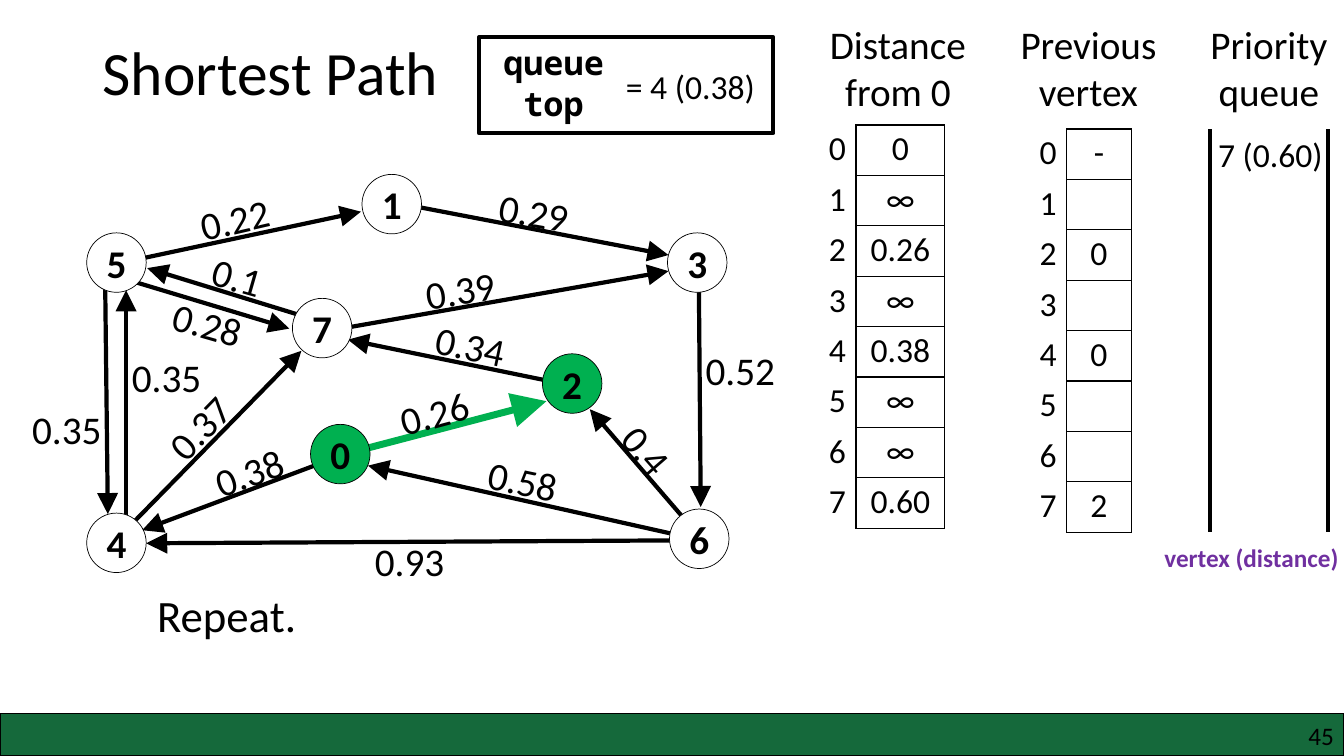
from lxml import etree
from pptx import Presentation
from pptx.dml.color import RGBColor
from pptx.enum import shapes, text
from pptx.oxml import ns
from pptx.util import Inches, Pt

BLACK = RGBColor(0x00, 0x00, 0x00)
WHITE = RGBColor(0xFF, 0xFF, 0xFF)
GREEN = RGBColor(0x00, 0xB0, 0x50)
FOOTER_GREEN = RGBColor(0x15, 0x69, 0x3B)
PURPLE = RGBColor(0x70, 0x30, 0xA0)
LEFT, CENTER, RIGHT = text.PP_ALIGN.LEFT, text.PP_ALIGN.CENTER, text.PP_ALIGN.RIGHT

VERTICES = [
    ("0", 3.08, 4.21, GREEN), ("1", 3.59, 1.73, WHITE),
    ("2", 5.38, 3.51, GREEN), ("3", 6.62, 2.31, WHITE),
    ("4", 0.86, 5.09, WHITE), ("5", 0.86, 2.31, WHITE),
    ("6", 6.64, 5.05, WHITE), ("7", 2.9, 2.96, WHITE),
]
EDGES = [
    (6.97, 5.36, 5.85, 4.06), (6.91, 5.35, 3.65, 4.62),
    (6.93, 5.36, 1.45, 5.39), (3.41, 4.51, 1.41, 5.26),
    (5.69, 3.83, 3.45, 3.37), (1.13, 5.38, 2.99, 3.48),
    (3.27, 3.28, 6.63, 2.69), (6.93, 2.65, 6.95, 5.03),
    (3.18, 3.19, 1.46, 2.66), (1.08, 2.72, 2.87, 3.26),
    (1.04, 2.53, 1.07, 5.1), (1.25, 5.29, 1.25, 2.88),
    (1.19, 2.61, 3.58, 2.1), (3.92, 2.01, 6.63, 2.53),
]
TREE_EDGE = (3.4, 4.51, 5.42, 3.98)
WEIGHTS = [
    ("0.35", 1.21, 3.46, 1.12, 0), ("0.35", 0.22, 3.97, 1.12, 0),
    ("0.37", 1.5, 3.87, 1.12, 314), ("0.1", 2, 2.52, 1.12, 16),
    ("0.28", 1.61, 2.96, 1.12, 16), ("0.22", 1.88, 1.86, 1.12, 347),
    ("0.38", 2.02, 4.36, 1.12, 340), ("0.26", 3.86, 3.78, 1.12, 345),
    ("0.39", 4.12, 2.57, 1.12, 351), ("0.29", 4.85, 1.84, 1.12, 10),
    ("0.34", 4.22, 3.17, 1.12, 12), ("0.52", 6.9, 3.39, 1.12, 0),
    ("0.93", 3.62, 5.28, 1.12, 0), ("0.58", 4.74, 4.51, 1.12, 12),
    ("0.4", 6.04, 4.24, 0.85, 49),
]
DISTANCES = ["0", "∞", "0.26", "∞", "0.38", "∞", "∞", "0.60"]
PREVIOUS = ["-", "", "0", "", "0", "", "", "2"]
HEADINGS = [("Distance from 0", 8.05), ("Previous vertex", 9.94), ("Priority queue", 11.73)]


def write(para, words, size, align=LEFT, bold=False, color=BLACK, font="Calibri"):
    para.alignment = align
    span = para.add_run()
    span.text = words
    span.font.name = font
    span.font.size = Pt(size)
    span.font.bold = bold
    span.font.color.rgb = color


def add_text(page, lines, left, top, width, height, size, **style):
    box = page.shapes.add_textbox(Inches(left), Inches(top), Inches(width), Inches(height))
    frame = box.text_frame
    frame.word_wrap = True
    for index, line in enumerate(lines.split("\n")):
        para = frame.add_paragraph() if index else frame.paragraphs[0]
        write(para, line, size, **style)
    return box


def add_outlined(page, preset, left, top, width, height, fill, weight):
    shape = page.shapes.add_shape(
        preset, Inches(left), Inches(top), Inches(width), Inches(height))
    shape.shadow.inherit = False
    if fill is None:
        shape.fill.background()
    else:
        shape.fill.solid()
        shape.fill.fore_color.rgb = fill
    shape.line.color.rgb = BLACK
    shape.line.width = Pt(weight)
    return shape


def add_line(page, ends, color=BLACK, weight=3, arrow=False):
    line = page.shapes.add_connector(
        shapes.MSO_CONNECTOR.STRAIGHT, *[Inches(value) for value in ends])
    line.line.color.rgb = color
    line.line.width = Pt(weight)
    if arrow:
        etree.SubElement(line.line._get_or_add_ln(), ns.qn("a:tailEnd"),
                         type="triangle", w="lg", len="lg")
    etree.SubElement(line._element.spPr, ns.qn("a:effectLst"))


def add_vertex(page, name, left, top, fill):
    circle = add_outlined(page, shapes.MSO_SHAPE.OVAL, left, top, 0.59, 0.59, fill, 0.5)
    frame = circle.text_frame
    frame.margin_left = frame.margin_right = frame.margin_top = frame.margin_bottom = 0
    frame.vertical_anchor = text.MSO_ANCHOR.MIDDLE
    write(frame.paragraphs[0], name, 28, CENTER, bold=True)


def add_borders(cell, sides):
    properties = cell._tc.get_or_add_tcPr()
    for side in sides:
        border = etree.SubElement(properties, ns.qn("a:ln" + side), w=str(Pt(1)))
        fill = etree.SubElement(border, ns.qn("a:solidFill"))
        etree.SubElement(fill, ns.qn("a:srgbClr"), val=str(BLACK))


def add_vertex_table(page, values, left, top, widths):
    table = page.shapes.add_table(
        len(values), 2, Inches(left), Inches(top), Inches(sum(widths)), Inches(4)).table
    table.first_row = table.horz_banding = False
    for column, width in zip(table.columns, widths):
        column.width = Inches(width)
    for row, value in enumerate(values):
        table.rows[row].height = Inches(0.5)
        entries = [(str(row), RIGHT, "R"), (value, CENTER, "LRTB")]
        for column, (words, align, sides) in enumerate(entries):
            cell = table.cell(row, column)
            cell.margin_top = cell.margin_bottom = Inches(0.04)
            add_borders(cell, sides)
            cell.fill.background()
            if words:
                write(cell.text_frame.paragraphs[0], words, 24, align)


def add_graph(page):
    for edge in EDGES:
        add_line(page, edge, arrow=True)
    add_line(page, TREE_EDGE, GREEN, 5, arrow=True)
    for vertex in VERTICES:
        add_vertex(page, *vertex)
    for weight, left, top, width, angle in WEIGHTS:
        label = add_text(page, weight, left, top, width, 0.58, 28)
        label.rotation = angle


def add_queue(page):
    add_text(page, "7 (0.60)", 11.85, 1.28, 1.5, 0.5, 24, align=CENTER)
    for wall in (12, 13.17):
        add_line(page, (wall, 1.28, wall, 5.28))
    add_text(page, "vertex (distance)", 11.45, 5.33, 2.04, 0.4, 18, bold=True, color=PURPLE)
    add_text(page, "queue\ntop", 4.82, 0.37, 1.34, 0.91, 24,
             align=CENTER, bold=True, font="Noto Sans Mono")
    add_text(page, "= 4 (0.38)", 6.11, 0.6, 1.86, 0.5, 24)
    add_outlined(page, shapes.MSO_SHAPE.RECTANGLE, 4.75, 0.37, 2.92, 0.95, None, 3)


def add_footer(page):
    add_outlined(page, shapes.MSO_SHAPE.RECTANGLE, 0, 7.08, 13.33, 0.42, FOOTER_GREEN, 1)
    number = add_text(page, "45", 12.77, 7.15, 0.46, 0.3, 18, align=RIGHT)
    frame = number.text_frame
    frame.margin_left = frame.margin_right = frame.margin_top = frame.margin_bottom = 0


def main():
    deck = Presentation()
    deck.slide_width = Inches(13.33)
    deck.slide_height = Inches(7.5)
    page = deck.slides.add_slide(deck.slide_layouts[6])
    title = add_text(page, "Shortest Path", 0.92, 0.02, 11.5, 1.45, 44)
    title.text_frame.vertical_anchor = text.MSO_ANCHOR.MIDDLE
    title.text_frame.paragraphs[0].line_spacing = 0.9
    add_graph(page)
    for heading, left in HEADINGS:
        add_text(page, heading, left, 0.15, 1.71, 1.04, 28, align=CENTER)
    add_vertex_table(page, DISTANCES, 7.86, 1.24, (0.63, 0.88))
    add_vertex_table(page, PREVIOUS, 9.94, 1.28, (0.64, 0.64))
    add_queue(page)
    add_text(page, "Repeat.", 1.46, 5.78, 10.96, 1.18, 32)
    add_footer(page)
    deck.save("out.pptx")


if __name__ == "__main__":
    main()
